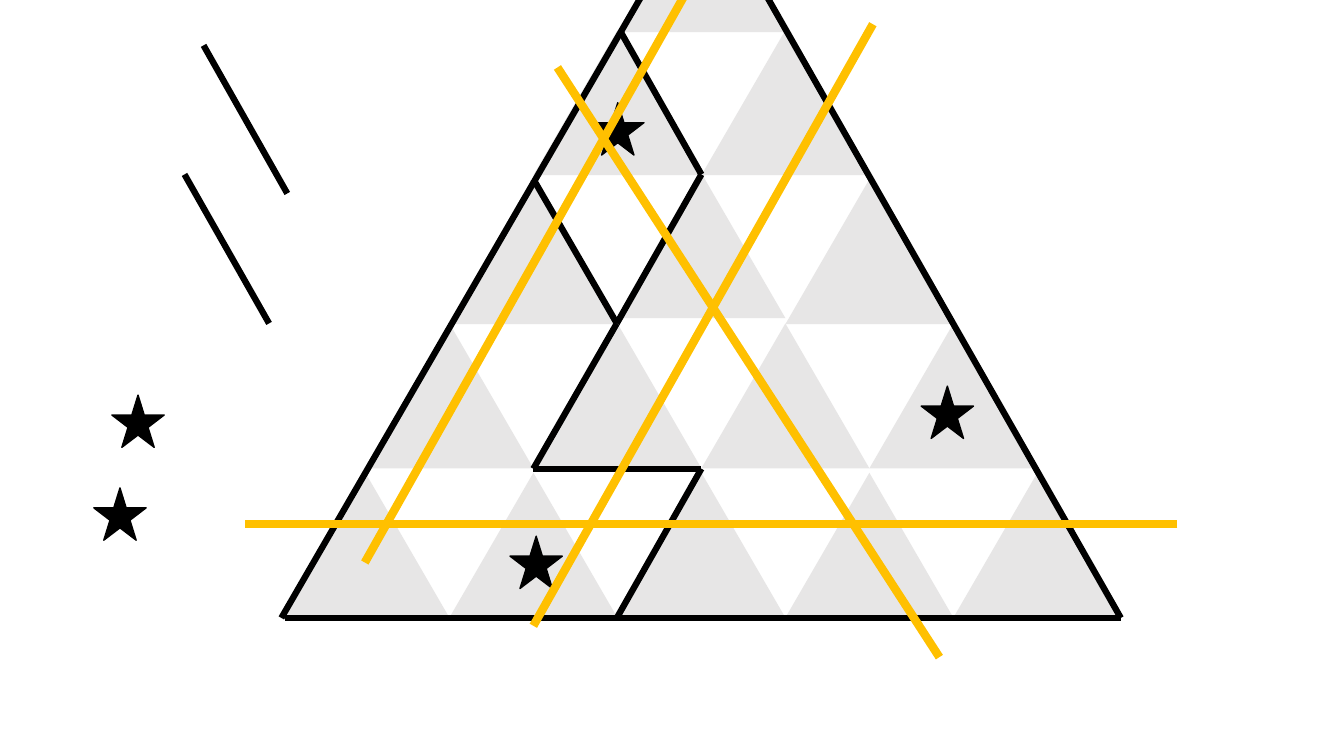
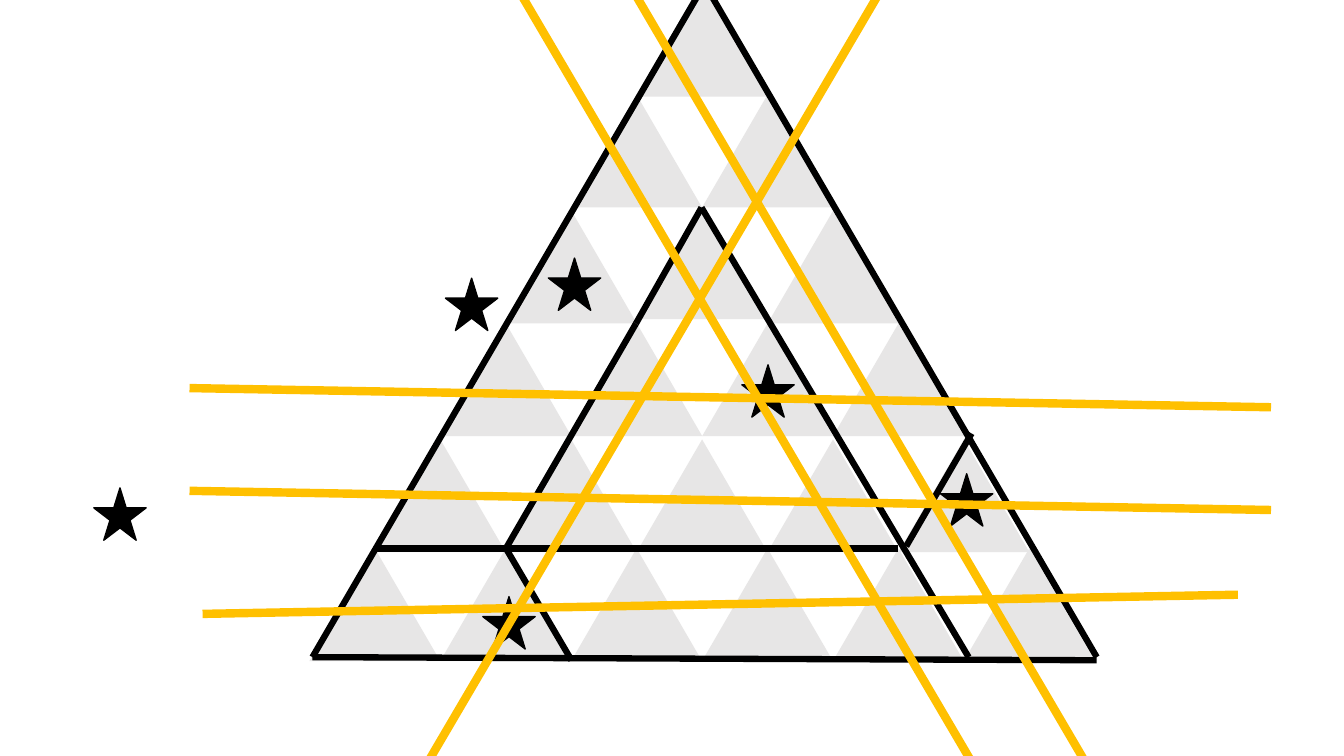
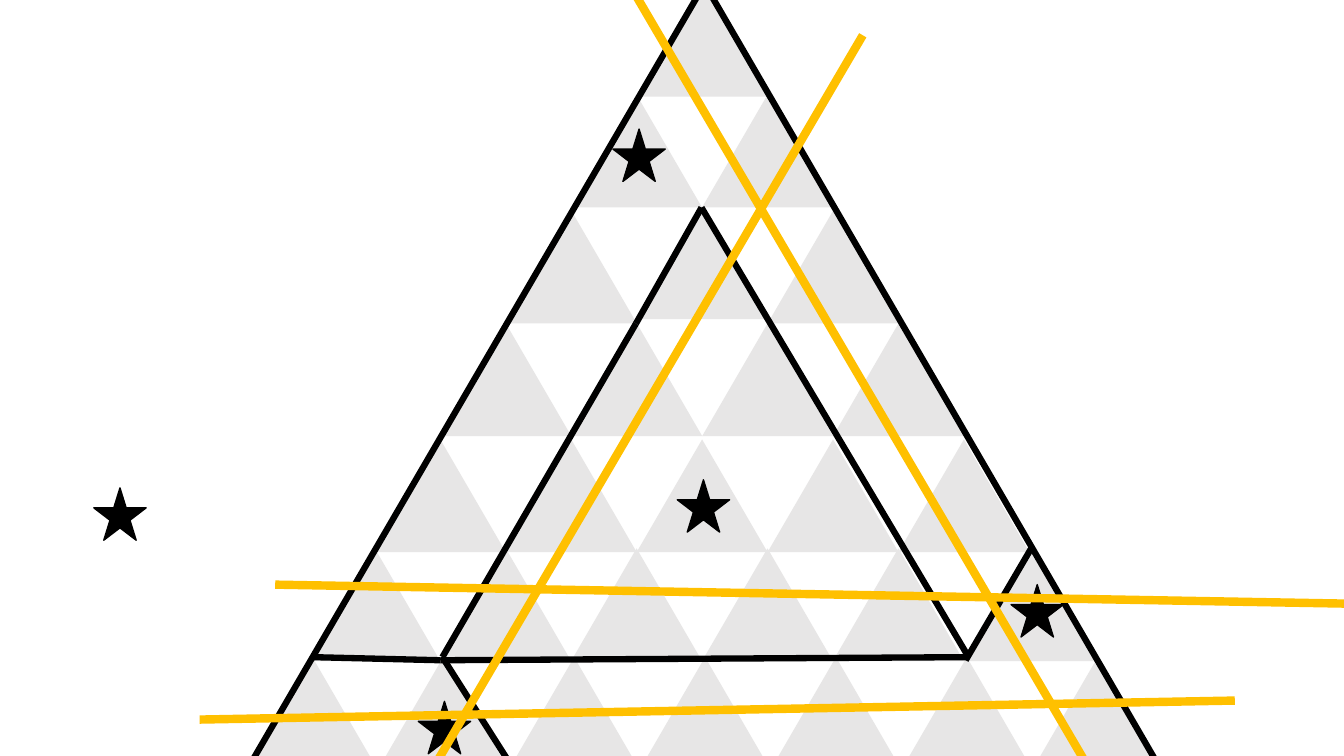
from itertools import pairwise

from lxml.etree import SubElement
from pptx import Presentation
from pptx.dml.color import RGBColor
from pptx.enum.shapes import MSO_CONNECTOR, MSO_SHAPE
from pptx.oxml.ns import qn
from pptx.util import Pt

COLORS = {"tile": "E7E6E6", "wall": "000000", "star": "000000", "ray": "FFC000"}
WALL_WIDTH = 4.5
RAY_WIDTH = 6
STAR_SIZE = 37.4
RAISED_TILE = (2, 1)

LARGE_BOARD = {
    "tile": (120, 103.5),
    "lift": 4.3,
    "rows": [(443.5, -80.6), (381, 21.6), (321, 128), (261, 231), (201, 337.7)],
}
SIX_ROWS = [(456.5, -11.5), (408, 67.7), (361.4, 150.5),
            (314.6, 231), (267.8, 313.9), (221, 391.7)]
SIX_ROW_BOARD = {"tile": (93.5, 80.5), "lift": 3, "rows": SIX_ROWS}
SEVEN_ROW_BOARD = {**SIX_ROW_BOARD, "rows": SIX_ROWS + [(176.4, 469.4)]}

APEX = (503.3, -11.5)
PEAK = (501.1, 148.3)
PEAK_FOOT = (691.9, 469.4)
SHOULDER = (454.3, 231.1)
SPARE_STAR = (67, 348.5)
SHARED_RAY = ((411, -77), (874, 712.8))

SLIDES = [
    {
        "board": LARGE_BOARD,
        "walls": [
            [(203.8, 441.4), (800.6, 441.4), (503.3, -80.6), (201, 441.4)],
            [(440.6, 441.4), (501, 334.8), (381, 334.8),
             (440.6, 231), (501, 124.6), (443.5, 23)],
            [(440.6, 231), (381, 128)],
            [(145.4, 32.4), (205.2, 138.2)],
            [(131.8, 124.6), (192.2, 231)],
        ],
        "stars": [(422.6, 73.4), (79.9, 282.2), (658, 275.8), SPARE_STAR, (364.3, 383)],
        "rays": [
            ((503.3, -28.8), (260.6, 401.8)),
            ((398.2, 48.2), (671, 469.4)),
            ((841, 374.4), (175, 374.4)),
            ((623.5, 17.3), (381, 447)),
        ],
    },
    {
        "board": SIX_ROW_BOARD,
        "walls": [
            [(783.4, 469.4), APEX, (223.2, 469.4)],
            [(223.2, 469.4), (783.4, 471.6)],
            [PEAK_FOOT, PEAK, SHOULDER, (361.4, 391.7), (408.2, 471.6)],
            [(641.5, 391.7), (267.8, 391.7)],
            [(647.3, 390.2), (694, 309.6)],
        ],
        "stars": [(391.7, 184.3), (529.9, 260.6), (671.8, 338.4),
                  SPARE_STAR, (344.9, 426.2), (318.2, 198.7)],
        "rays": [
            ((907.9, 364.3), (135.4, 350.6)),
            ((884.2, 424.8), (144.7, 438.5)),
            SHARED_RAY,
            ((638.6, -23), (302.4, 550)),
            ((337, -64), (800.6, 725.8)),
            ((907.9, 290.9), (135.4, 277.2)),
        ],
    },
    {
        "board": SEVEN_ROW_BOARD,
        "walls": [
            [(829.4, 550), APEX, (176.4, 550)],
            [PEAK_FOOT, PEAK, SHOULDER, (316, 469.4), (367.2, 550)],
            [PEAK_FOOT, (314.6, 471.6), (223.2, 469.4)],
            [(689.8, 471.6), (736.6, 391.7)],
        ],
        "stars": [(437.8, 92.2), (483.8, 342.7), (722.2, 417.6),
                  SPARE_STAR, (298.8, 501)],
        "rays": [
            ((969, 431.3), (196.6, 417.6)),
            ((882, 500.4), (142.6, 514)),
            SHARED_RAY,
            ((616.3, 25.2), (280.8, 597.6)),
        ],
    },
]


def rgb(name):
    return RGBColor.from_string(COLORS[name])


def add_figure(slide, kind, left, top, width, height, color, outline=0):
    shape = slide.shapes.add_shape(kind, Pt(left), Pt(top), Pt(width), Pt(height))
    shape.shadow.inherit = False
    shape.fill.solid()
    shape.fill.fore_color.rgb = rgb(color)
    if outline:
        shape.line.color.rgb = rgb(color)
        shape.line.width = Pt(outline)
    else:
        shape.line.fill.background()


def add_line(slide, start, end, color, width):
    connector = slide.shapes.add_connector(
        MSO_CONNECTOR.STRAIGHT, *(Pt(value) for value in (*start, *end)))
    connector.line.color.rgb = rgb(color)
    connector.line.width = Pt(width)
    SubElement(connector.element.spPr, qn("a:effectLst"))


def add_board(slide, board):
    width, height = board["tile"]
    for row, (left, top) in enumerate(board["rows"]):
        for column in range(row + 1):
            lift = board["lift"] if (row, column) == RAISED_TILE else 0
            add_figure(slide, MSO_SHAPE.ISOSCELES_TRIANGLE, left + column * width,
                       top - lift, width, height, "tile")


def main():
    presentation = Presentation()
    presentation.slide_width = Pt(960)
    presentation.slide_height = Pt(540)
    for content in SLIDES:
        slide = presentation.slides.add_slide(presentation.slide_layouts[6])
        add_board(slide, content["board"])
        for wall in content["walls"]:
            for start, end in pairwise(wall):
                add_line(slide, start, end, "wall", WALL_WIDTH)
        for left, top in content["stars"]:
            add_figure(slide, MSO_SHAPE.STAR_5_POINT, left, top,
                       STAR_SIZE, STAR_SIZE, "star", outline=1)
        for start, end in content["rays"]:
            add_line(slide, start, end, "ray", RAY_WIDTH)
    presentation.save("out.pptx")


if __name__ == "__main__":
    main()
